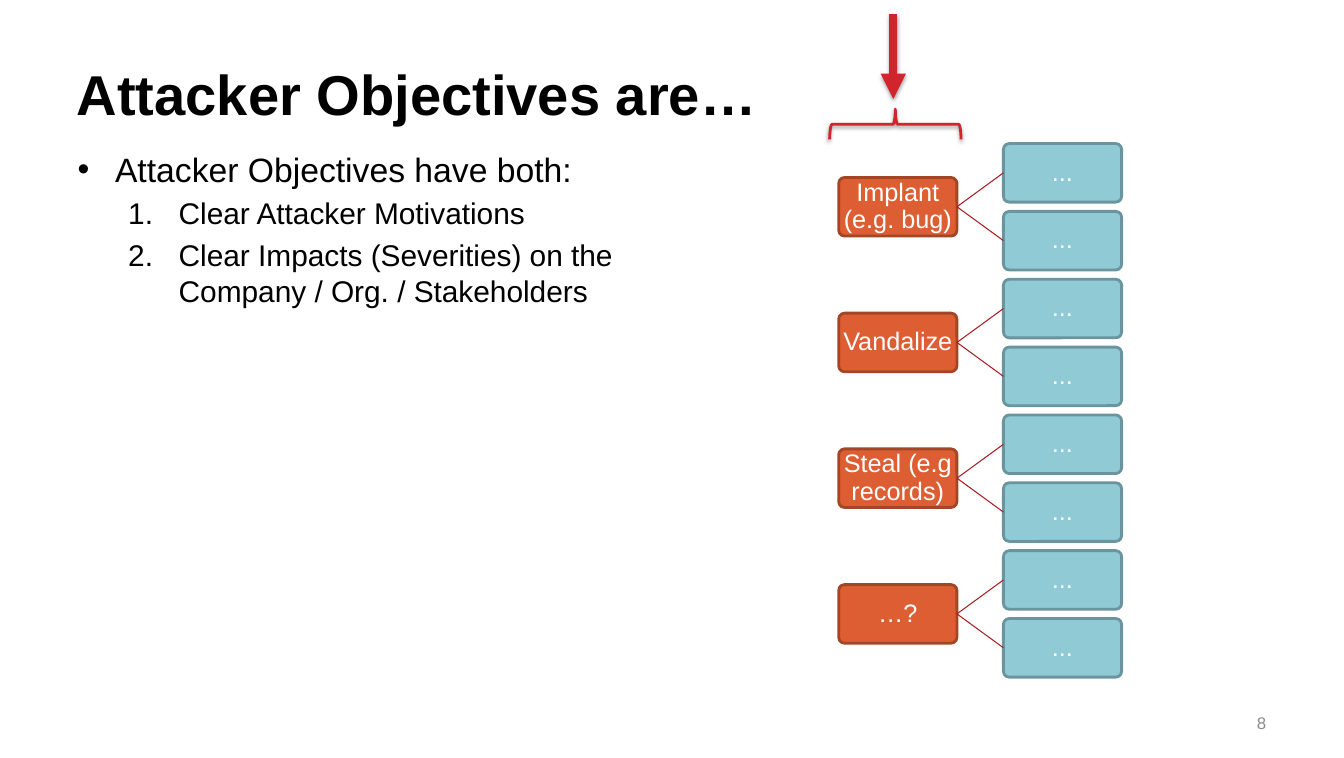
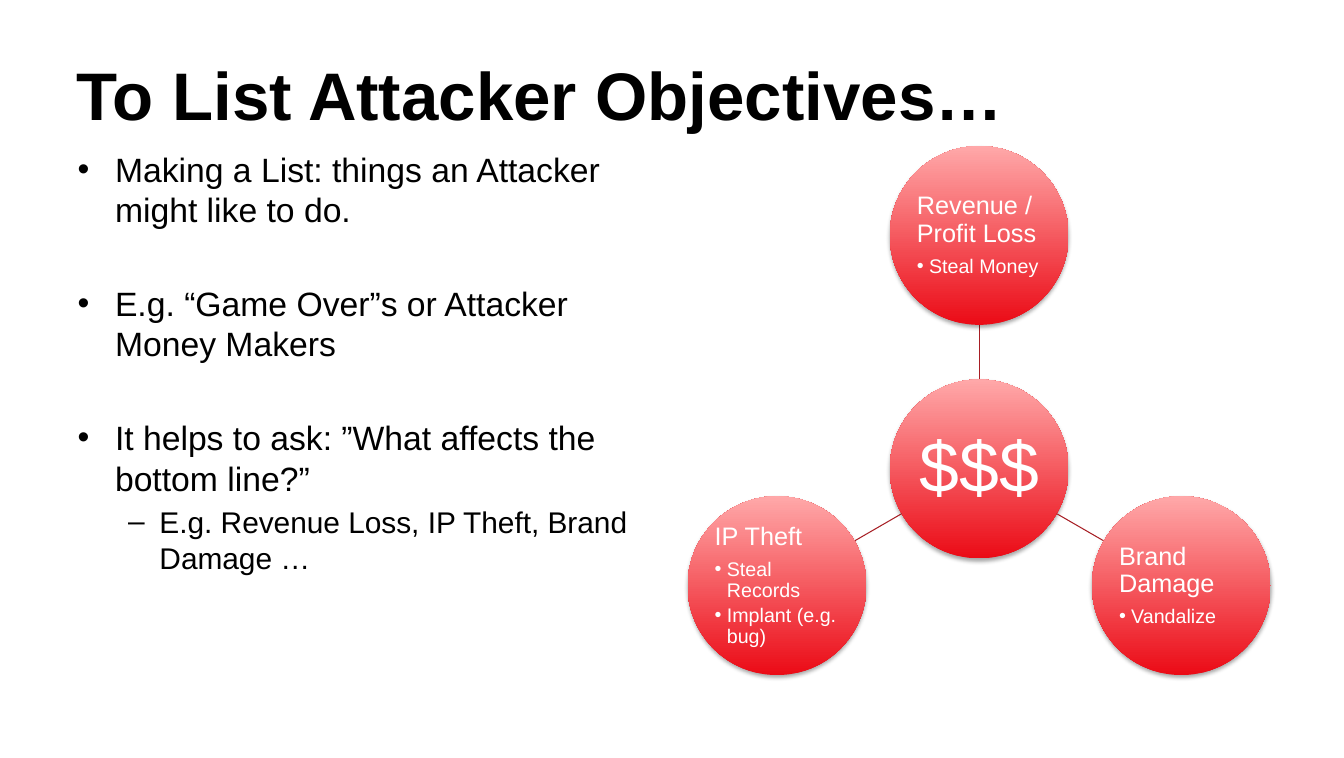
from dataclasses import dataclass
from math import cos, radians, sin

from lxml.etree import SubElement
from pptx import Presentation
from pptx.dml.color import RGBColor
from pptx.enum.shapes import MSO_CONNECTOR, MSO_SHAPE
from pptx.enum.text import MSO_ANCHOR, MSO_AUTO_SIZE, PP_ALIGN
from pptx.oxml.ns import qn
from pptx.shapes.autoshape import Shape
from pptx.shapes.connector import Connector
from pptx.slide import Slide
from pptx.text.text import TextFrame
from pptx.util import Inches, Pt


# Shared look
@dataclass(frozen=True)
class Theme:
    font: str = "Arial"
    ink: RGBColor = RGBColor(0x00, 0x00, 0x00)
    white: RGBColor = RGBColor(0xFF, 0xFF, 0xFF)
    muted: RGBColor = RGBColor(0x8C, 0x8C, 0x8C)
    accent: RGBColor = RGBColor(0xD1, 0x25, 0x2D)
    link: RGBColor = RGBColor(0xA7, 0x1E, 0x24)
    orange: RGBColor = RGBColor(0xDD, 0x5E, 0x32)
    orange_edge: RGBColor = RGBColor(0xA3, 0x46, 0x25)
    teal: RGBColor = RGBColor(0x8F, 0xCA, 0xD5)
    teal_edge: RGBColor = RGBColor(0x6A, 0x95, 0x9E)
    glow_low: RGBColor = RGBColor(0xEB, 0x0B, 0x16)
    glow_high: RGBColor = RGBColor(0xFF, 0xA8, 0xA9)
    title_size: float = 40
    big_title_size: float = 47.9
    body_size: float = 24
    sub_size: float = 21.3
    hub_size: float = 51
    label_size: float = 18
    detail_size: float = 14
    page_size: float = 12
    label_spacing: float = 0.9


THEME = Theme()


@dataclass(frozen=True)
class BodyLine:
    text: str
    bullet: str = "•"
    level: int = 0
    margin: float = 0.37
    hanging: float = 0.37
    gap: float | None = None  # space before, in points

    @property
    def size(self) -> float:
        return THEME.sub_size if self.level else THEME.body_size


@dataclass(frozen=True)
class Loss:
    name: str
    attacks: tuple[str, ...]
    angle: float  # degrees clockwise from the right


NUMBERED = "1."
OBJECTIVES = ("Implant (e.g. bug)", "Vandalize", "Steal (e.g records)", "…?")
LOSSES = (
    Loss("Revenue / Profit Loss", ("Steal Money",), 270),
    Loss("Brand Damage", ("Vandalize",), 30),
    Loss("IP Theft", ("Steal Records", "Implant (e.g. bug)"), 150),
)


# Text
def add_text(frame: TextFrame, text: str, *, size: float,
             color: RGBColor = THEME.ink, bold: bool = False,
             align: PP_ALIGN = PP_ALIGN.LEFT, spacing: float = 1.0,
             before: float = 0, after: float = 0, level: int = 0,
             bullet: str = "", margin: float = 0, hanging: float = 0) -> None:
    first = frame.paragraphs[0]
    paragraph = frame.add_paragraph() if first.runs else first
    paragraph.alignment = align
    paragraph.level = level
    paragraph.line_spacing = spacing
    paragraph.space_before = Pt(before)
    paragraph.space_after = Pt(after)
    run = paragraph.add_run()
    run.text = text
    run.font.name = THEME.font
    run.font.size = Pt(size)
    run.font.bold = bold
    run.font.color.rgb = color
    if bullet:
        properties = paragraph._p.get_or_add_pPr()
        properties.set("marL", str(Inches(margin)))
        properties.set("indent", str(-Inches(hanging)))
        if bullet == NUMBERED:
            SubElement(properties, qn("a:buAutoNum"), type="arabicPeriod")
        else:
            SubElement(properties, qn("a:buFont"), typeface=THEME.font)
            SubElement(properties, qn("a:buChar"), char=bullet)


def set_frame(frame: TextFrame, anchor: MSO_ANCHOR,
              inset: float | None = None) -> None:
    frame.word_wrap = True
    frame.auto_size = MSO_AUTO_SIZE.NONE
    frame.vertical_anchor = anchor
    if inset is not None:
        frame.margin_left = frame.margin_right = Inches(inset)
        frame.margin_top = frame.margin_bottom = Inches(inset)


def add_box(slide: Slide, left: float, top: float, width: float,
            height: float, anchor: MSO_ANCHOR) -> TextFrame:
    box = slide.shapes.add_textbox(
        Inches(left), Inches(top), Inches(width), Inches(height))
    set_frame(box.text_frame, anchor)
    return box.text_frame


# Shapes and lines
def set_shadow(item: Shape | Connector, alpha: int = 0,
               distance: float = 0) -> None:
    """Replace the theme shadow; call after the line has been set."""
    properties = item._element.spPr
    effects = properties.find(qn("a:effectLst"))
    if effects is None:
        effects = SubElement(properties, qn("a:effectLst"))
    if alpha:
        shadow = SubElement(
            effects, qn("a:outerShdw"), blurRad=str(Pt(3.1)),
            dist=str(Pt(distance)), dir="5400000", rotWithShape="0")
        tint = SubElement(shadow, qn("a:srgbClr"), val="000000")
        SubElement(tint, qn("a:alpha"), val=str(alpha * 1000))


def add_preset(slide: Slide, preset: MSO_SHAPE, left: float, top: float,
               width: float, height: float, *, fill: RGBColor | None = None,
               edge: RGBColor | None = None) -> Shape:
    shape = slide.shapes.add_shape(
        preset, Inches(left), Inches(top), Inches(width), Inches(height))
    shape.shadow.inherit = False
    if fill is None:
        shape.fill.background()
    else:
        shape.fill.solid()
        shape.fill.fore_color.rgb = fill
    if edge is None:
        shape.line.fill.background()
    else:
        shape.line.color.rgb = edge
        shape.line.width = Pt(2)
    return shape


def add_line(slide: Slide, start: tuple[float, float],
             end: tuple[float, float], *, color: RGBColor = THEME.link,
             width: float = 0.75) -> Connector:
    line = slide.shapes.add_connector(
        MSO_CONNECTOR.STRAIGHT, *(Inches(value) for value in start + end))
    line.line.color.rgb = color
    line.line.width = Pt(width)
    set_shadow(line)
    return line


# Parts of both slides
def add_page(deck: Presentation, title: str, title_size: float,
             lines: tuple[BodyLine, ...]) -> Slide:
    slide = deck.slides.add_slide(deck.slide_layouts[5])
    heading = slide.shapes.title
    heading.left, heading.top = Inches(0.66), Inches(0.3)
    heading.width, heading.height = Inches(11.97), Inches(1.25)
    set_frame(heading.text_frame, MSO_ANCHOR.MIDDLE)
    add_text(heading.text_frame, title, size=title_size, bold=True)

    body = add_box(slide, 0.67, 1.42, 5.88, 5.28, MSO_ANCHOR.TOP)
    for line in lines:
        gap = line.size * 0.2 if line.gap is None else line.gap
        add_text(body, line.text, size=line.size, before=gap,
                 level=line.level, bullet=line.bullet, margin=line.margin,
                 hanging=line.hanging)
    return slide


def add_tree_node(slide: Slide, text: str, left: float, top: float,
                  fill: RGBColor, edge: RGBColor) -> Shape:
    node = add_preset(slide, MSO_SHAPE.ROUNDED_RECTANGLE, left, top,
                      1.17, 0.58, fill=fill, edge=edge)
    node.adjustments[0] = 0.1
    set_frame(node.text_frame, MSO_ANCHOR.MIDDLE, 0.01)
    add_text(node.text_frame, text, size=THEME.label_size, color=THEME.white,
             align=PP_ALIGN.CENTER, spacing=THEME.label_spacing)
    return node


def add_objective_tree(slide: Slide) -> None:
    first_top, pitch = 1.42, 4.7 / 7
    for row, objective in enumerate(OBJECTIVES):
        branch_top = first_top + 2 * row * pitch
        parent = add_tree_node(slide, objective, 8.3, branch_top + pitch / 2,
                               THEME.orange, THEME.orange_edge)
        for step in range(2):
            child = add_tree_node(slide, "...", 9.93,
                                  branch_top + step * pitch,
                                  THEME.teal, THEME.teal_edge)
            branch = add_line(slide, (0, 0), (1, 1))
            branch.begin_connect(parent, 3)
            branch.end_connect(child, 1)


def add_pointer(slide: Slide) -> None:
    arrow = add_line(slide, (8.84, 0.14), (8.84, 0.98),
                     color=THEME.accent, width=6)
    SubElement(arrow.line._get_or_add_ln(), qn("a:tailEnd"), type="triangle")
    brace = add_preset(slide, MSO_SHAPE.LEFT_BRACE, 8.71, 0.58, 0.3, 1.3,
                       edge=THEME.accent)
    brace.rotation = 90
    for item in (arrow, brace):
        set_shadow(item, alpha=38, distance=1.6)


def add_circle(slide: Slide, center: tuple[float, float], radius: float,
               inset: float) -> TextFrame:
    x, y = center
    circle = add_preset(slide, MSO_SHAPE.OVAL, x - radius, y - radius,
                        2 * radius, 2 * radius)
    circle.fill.gradient()
    circle.fill.gradient_angle = 90
    low, high = circle.fill.gradient_stops
    low.color.rgb, high.color.rgb = THEME.glow_low, THEME.glow_high
    low.position, high.position = 0, 1
    set_shadow(circle, alpha=35, distance=1.8)
    set_frame(circle.text_frame, MSO_ANCHOR.MIDDLE, inset)
    return circle.text_frame


def add_loss_wheel(slide: Slide) -> None:
    hub, radius, orbit = (9.69, 4.64), 0.885, 2.31

    def along(angle: float, distance: float) -> tuple[float, float]:
        turn = radians(angle)
        return hub[0] + distance * cos(turn), hub[1] + distance * sin(turn)

    add_text(add_circle(slide, hub, radius, 0.01), "$$$", size=THEME.hub_size,
             color=THEME.white, align=PP_ALIGN.CENTER,
             spacing=THEME.label_spacing)
    for loss in LOSSES:
        add_line(slide, along(loss.angle, radius),
                 along(loss.angle, orbit - radius))
        label = add_circle(slide, along(loss.angle, orbit), radius, 0.01)
        add_text(label, loss.name, size=THEME.label_size, color=THEME.white,
                 spacing=THEME.label_spacing, after=THEME.label_size * 0.35)
        for attack in loss.attacks:
            add_text(label, attack, size=THEME.detail_size,
                     color=THEME.white, spacing=THEME.label_spacing,
                     after=THEME.detail_size * 0.15, level=1,
                     bullet="•", margin=0.12, hanging=0.12)


def main() -> None:
    deck = Presentation()
    deck.slide_width, deck.slide_height = Inches(13.3), Inches(7.5)

    # What objectives are
    definition = add_page(deck, "Attacker Objectives are…", THEME.title_size, (
        BodyLine("Attacker Objectives have both:"),
        BodyLine("Clear Attacker Motivations", NUMBERED, 1, 1, 0.5),
        BodyLine("Clear Impacts (Severities) on the Company / Org. / "
                 "Stakeholders", NUMBERED, 1, 1, 0.5),
    ))
    page_number = add_box(definition, 9.53, 6.95, 3.1, 0.4, MSO_ANCHOR.MIDDLE)
    add_text(page_number, "8", size=THEME.page_size, color=THEME.muted,
             align=PP_ALIGN.RIGHT)
    add_objective_tree(definition)
    add_pointer(definition)

    # How to list them
    listing = add_page(
        deck, "To List Attacker Objectives…", THEME.big_title_size, (
            BodyLine("Making a List: things an Attacker might like to do."),
            BodyLine("E.g. “Game Over”s or Attacker Money Makers", gap=38),
            BodyLine("It helps to ask: ”What affects the bottom line?”",
                     gap=38),
            BodyLine("E.g. Revenue Loss, IP Theft, Brand Damage …",
                     "–", 1, 0.81, 0.31),
        ))
    add_loss_wheel(listing)

    deck.save("out.pptx")


if __name__ == "__main__":
    main()
